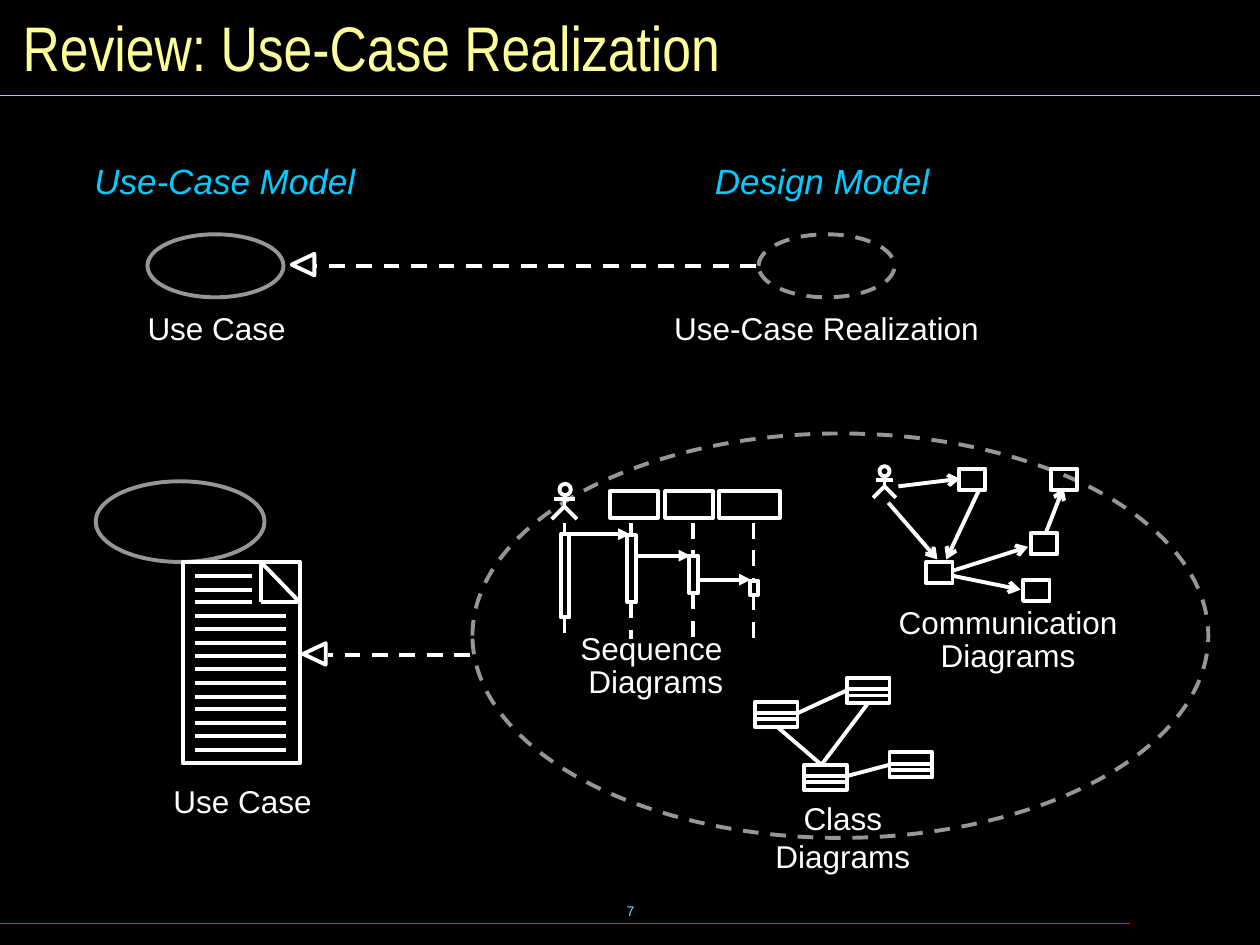
from lxml.etree import SubElement
from pptx import Presentation
from pptx.dml.color import RGBColor
from pptx.enum.dml import MSO_LINE
from pptx.enum.shapes import MSO_CONNECTOR, MSO_SHAPE
from pptx.enum.text import MSO_ANCHOR, PP_ALIGN
from pptx.oxml.ns import qn
from pptx.util import Emu, Pt

SCALE = 9144
COLORS = {
    "background": "000000",
    "ink": "FFFFFF",
    "oval": "969696",
    "title": "FFFF99",
    "model": "00CCFF",
    "rule": "73E1FF",
    "footer_rule": "007E9F",
}


def px(length):
    return Emu(length * SCALE)


def color(name):
    return RGBColor.from_string(COLORS[name])


class Sketch:
    def __init__(self, slide):
        self.slide = slide
        self.canvas = slide.shapes
        slide.background.fill.solid()
        slide.background.fill.fore_color.rgb = color("background")

    def start_group(self):
        self.canvas = self.slide.shapes.add_group_shape().shapes

    def end_group(self):
        self.canvas = self.slide.shapes

    def stroke(self, outlined, ink="ink", dashed=False, width=2.25):
        outlined.line.color.rgb = color(ink)
        outlined.line.width = Pt(width)
        if dashed:
            outlined.line.dash_style = MSO_LINE.DASH

    def outline(self, kind, left, top, width, height, ink="ink", dashed=False, turn=0):
        shape = self.canvas.add_shape(kind, px(left), px(top), px(width), px(height))
        shape.rotation = turn
        shape.shadow.inherit = False
        shape.fill.background()
        self.stroke(shape, ink, dashed)

    def box(self, *frame):
        self.outline(MSO_SHAPE.RECTANGLE, *frame)

    def oval(self, *frame, ink="oval", dashed=False):
        self.outline(MSO_SHAPE.OVAL, *frame, ink=ink, dashed=dashed)

    def line(self, x1, y1, x2, y2, ink="ink", dashed=False, width=2.25, arrow=None):
        connector = self.canvas.add_connector(
            MSO_CONNECTOR.STRAIGHT, px(x1), px(y1), px(x2), px(y2))
        self.stroke(connector, ink, dashed, width)
        properties = connector.element.spPr
        if arrow:
            SubElement(properties.find(qn("a:ln")), qn("a:tailEnd"), type=arrow)
        SubElement(properties, qn("a:effectLst"))

    def realizes(self, start, end, y):
        self.line(start, y, end, y, dashed=True)
        self.outline(MSO_SHAPE.ISOSCELES_TRIANGLE, end - 19, y - 10, 17, 18, turn=270)

    def actor(self, center, top, step):
        neck, hips, feet = top + step, top + 2 * step, top + 3 * step + 1
        self.oval(center - step // 2, top, step, step, ink="ink")
        self.line(center, neck, center, hips)
        self.line(center - step + 1, neck + 3, center + step - 1, neck + 3)
        reach = step + 1
        builder = self.canvas.build_freeform(center - reach, feet, scale=SCALE)
        builder.add_line_segments([(center, hips), (center + reach, feet)], close=False)
        legs = builder.convert_to_shape()
        legs.shadow.inherit = False
        legs.fill.background()
        self.stroke(legs)

    def set_words(self, frame, words, size, ink, face="Arial", italic=False,
                  align=PP_ALIGN.CENTER, spacing=None):
        frame.text = words
        paragraph = frame.paragraphs[0]
        paragraph.alignment = align
        if spacing:
            paragraph.line_spacing = Pt(spacing)
        paragraph.font.name = face
        paragraph.font.size = Pt(size)
        paragraph.font.italic = italic
        paragraph.font.color.rgb = color(ink)

    def title(self, words, left, top, width, height):
        heading = self.slide.shapes.title
        heading.left, heading.top = px(left), px(top)
        heading.width, heading.height = px(width), px(height)
        heading.text_frame.vertical_anchor = MSO_ANCHOR.MIDDLE
        self.set_words(heading.text_frame, words, 36, "title", "Arial Narrow",
                       align=PP_ALIGN.LEFT)

    def label(self, words, left, top, width, height, size=18, ink="ink", wrap=False,
              anchor=MSO_ANCHOR.TOP, **style):
        caption = self.canvas.add_textbox(px(left), px(top), px(width), px(height))
        caption.text_frame.word_wrap = wrap
        caption.text_frame.vertical_anchor = anchor
        self.set_words(caption.text_frame, words, size, ink, **style)


def draw_class_diagram(sketch):
    sketch.start_group()
    for left, top in [(599, 557), (672, 538), (638, 607), (706, 597)]:
        sketch.box(left, top, 34, 20)
        for divider in (9, 14):
            sketch.line(left, top + divider, left + 34, top + divider)
    for association in [(652, 607, 617, 577), (633, 566, 672, 548),
                        (672, 616, 706, 607), (652, 607, 689, 558)]:
        sketch.line(*association)
    sketch.label("Class Diagrams", 571, 629, 196, 40)
    sketch.end_group()


def draw_document(sketch):
    sketch.start_group()
    sketch.box(145, 446, 93, 160)
    for fold in [(207, 446, 238, 478), (207, 446, 207, 478), (238, 478, 207, 478)]:
        sketch.line(*fold)
    for row in range(14):
        y = 457 + round(row * 138 / 13)
        sketch.line(155, y, 200 if row < 3 else 227, y)
    sketch.end_group()


def draw_communication_diagram(sketch):
    sketch.start_group()
    sketch.actor(702, 370, 8)
    for link in [(705, 399, 744, 444), (713, 386, 762, 380), (756, 457, 810, 468),
                 (756, 453, 816, 434), (830, 423, 844, 387), (777, 389, 751, 444)]:
        sketch.line(*link, arrow="arrow")
    for left, top in [(761, 372), (735, 446), (812, 460), (818, 423), (834, 372)]:
        sketch.box(left, top, 21, 17)
    sketch.end_group()


def draw_sequence_diagram(sketch):
    sketch.start_group()
    sketch.actor(448, 384, 9)
    for start, end, y in [(447, 500, 424), (504, 548, 441), (555, 596, 460)]:
        sketch.line(start, y, end, y, arrow="triangle")
    for x, top, height in [(448, 424, 66), (501, 425, 53), (550, 441, 30), (598, 461, 11)]:
        sketch.line(x, 415, x, top, dashed=True)
        sketch.line(x, top + height, x, 507, dashed=True)
        sketch.box(x - 3, top, 7, height)
    for left, width in [(484, 38), (528, 38), (571, 48)]:
        sketch.box(left, 390, width, 21)
    sketch.end_group()


def main():
    deck = Presentation()
    deck.slide_width, deck.slide_height = px(1000), px(750)
    sketch = Sketch(deck.slides.add_slide(deck.slide_layouts[5]))

    sketch.label("7", 342, 698, 317, 50, size=8, ink="rule", wrap=True,
                 anchor=MSO_ANCHOR.MIDDLE)
    sketch.line(0, 733, 897, 733, ink="footer_rule", width=0.75)
    sketch.line(0, 76, 1000, 76, ink="rule", width=0.75)
    sketch.title("Review: Use-Case Realization", 8, 8, 984, 58)

    sketch.oval(375, 344, 584, 321, dashed=True)
    draw_class_diagram(sketch)
    sketch.oval(76, 382, 134, 64)
    draw_document(sketch)
    sketch.label("Use Case", 108, 616, 169, 40, wrap=True)
    sketch.label("Communication Diagrams", 659, 477, 282, 63, wrap=True, spacing=19)
    draw_communication_diagram(sketch)

    sketch.label("Use-Case Model", 65, 122, 230, 44, size=20, ink="model", wrap=True,
                 italic=True, align=PP_ALIGN.LEFT)
    sketch.label("Design Model", 550, 122, 205, 44, size=20, ink="model", wrap=True,
                 italic=True)
    sketch.oval(117, 186, 108, 50)
    sketch.label("Use Case", 107, 240, 130, 40)
    sketch.oval(602, 186, 108, 50, dashed=True)
    sketch.label("Use-Case Realization", 525, 240, 262, 40)

    sketch.label("Sequence \vDiagrams", 444, 498, 153, 63, wrap=True, spacing=19)
    draw_sequence_diagram(sketch)
    sketch.realizes(600, 251, 211)
    sketch.realizes(373, 260, 520)

    deck.save("out.pptx")


if __name__ == "__main__":
    main()
